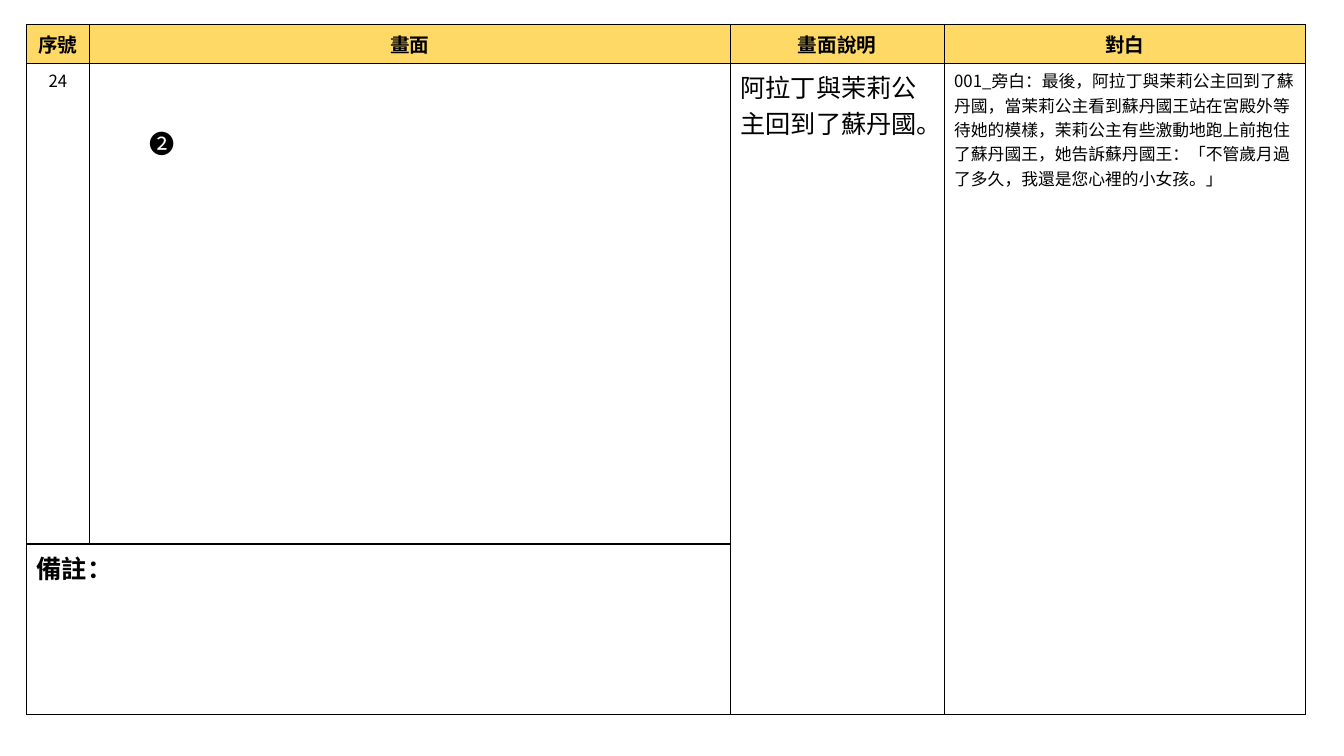
from dataclasses import dataclass

from lxml import etree
from pptx import Presentation
from pptx import util as u
from pptx.dml import color
from pptx.enum import text
from pptx.oxml import ns

HEADINGS = ["序號", "畫面", "畫面說明", "對白"]
SCENE_NUMBER = "24"
DESCRIPTION = "阿拉丁與茉莉公主回到了蘇丹國。"
DIALOGUE = (
    "001_旁白：最後，阿拉丁與茉莉公主回到了蘇丹國，"
    "當茉莉公主看到蘇丹國王站在宮殿外等待她的模樣，"
    "茉莉公主有些激動地跑上前抱住了蘇丹國王，"
    "她告訴蘇丹國王：「不管歲月過了多久，我還是您心裡的小女孩。」"
)
NOTES = "備註："
MARKER = "❷"

SLIDE_SIZE = (960, 540)
TABLE_ORIGIN = (19, 17.5)
COLUMN_WIDTHS = [44.8, 458, 152.6, 258.4]
ROW_HEIGHTS = [26.8, 343.4, 121.7]
MARKER_BOX = (99.4, 87.8, 31, 28.8)


@dataclass(frozen=True)
class Theme:
    font: str = "Noto Sans CJK SC"
    ink: str = "000000"
    header: str = "FFD966"
    heading_size: int = 14
    body_size: int = 12
    large_size: int = 18
    border: float = 1


THEME = Theme()


def write(frame, content, size, bold=False, align=text.PP_ALIGN.LEFT):
    paragraph = frame.paragraphs[0]
    paragraph.alignment = align
    run = paragraph.add_run()
    run.text = content
    run.font.size = u.Pt(size)
    run.font.bold = bold
    run.font.name = THEME.font
    run.font.color.rgb = color.RGBColor.from_string(THEME.ink)
    properties = run.font._element
    properties.find(ns.qn("a:latin")).addnext(
        etree.Element(ns.qn("a:ea"), typeface=THEME.font)
    )


def add_borders(cell):
    properties = cell._tc.get_or_add_tcPr()
    for side in ("lnL", "lnR", "lnT", "lnB"):
        line = etree.SubElement(
            properties, ns.qn(f"a:{side}"), w=str(u.Pt(THEME.border))
        )
        fill = etree.SubElement(line, ns.qn("a:solidFill"))
        etree.SubElement(fill, ns.qn("a:srgbClr"), val=THEME.ink)


def add_storyboard(slide):
    left, top = TABLE_ORIGIN
    table = slide.shapes.add_table(
        len(ROW_HEIGHTS), len(COLUMN_WIDTHS), u.Pt(left), u.Pt(top),
        u.Pt(sum(COLUMN_WIDTHS)), u.Pt(sum(ROW_HEIGHTS)),
    ).table
    table.first_row = False
    table.horz_banding = False
    for column, width in zip(table.columns, COLUMN_WIDTHS):
        column.width = u.Pt(width)
    for row, height in zip(table.rows, ROW_HEIGHTS):
        row.height = u.Pt(height)
    for cell in table.iter_cells():
        add_borders(cell)
        cell.fill.background()

    for column in (2, 3):
        table.cell(1, column).merge(table.cell(2, column))
    table.cell(2, 0).merge(table.cell(2, 1))

    center = text.PP_ALIGN.CENTER
    for column, heading in enumerate(HEADINGS):
        cell = table.cell(0, column)
        cell.fill.solid()
        cell.fill.fore_color.rgb = color.RGBColor.from_string(THEME.header)
        write(cell.text_frame, heading, THEME.heading_size, True, center)
    write(table.cell(1, 0).text_frame, SCENE_NUMBER, THEME.body_size, align=center)
    write(table.cell(1, 2).text_frame, DESCRIPTION, THEME.large_size)
    write(table.cell(1, 3).text_frame, DIALOGUE, THEME.body_size)
    write(table.cell(2, 0).text_frame, NOTES, THEME.large_size, True)


def add_marker(slide):
    frame = slide.shapes.add_textbox(*map(u.Pt, MARKER_BOX)).text_frame
    frame.word_wrap = True
    frame.auto_size = text.MSO_AUTO_SIZE.SHAPE_TO_FIT_TEXT
    write(frame, MARKER, THEME.large_size)


def main():
    presentation = Presentation()
    presentation.slide_width, presentation.slide_height = map(u.Pt, SLIDE_SIZE)
    slide = presentation.slides.add_slide(presentation.slide_layouts[6])
    add_storyboard(slide)
    add_marker(slide)
    presentation.save("out.pptx")


if __name__ == "__main__":
    main()
